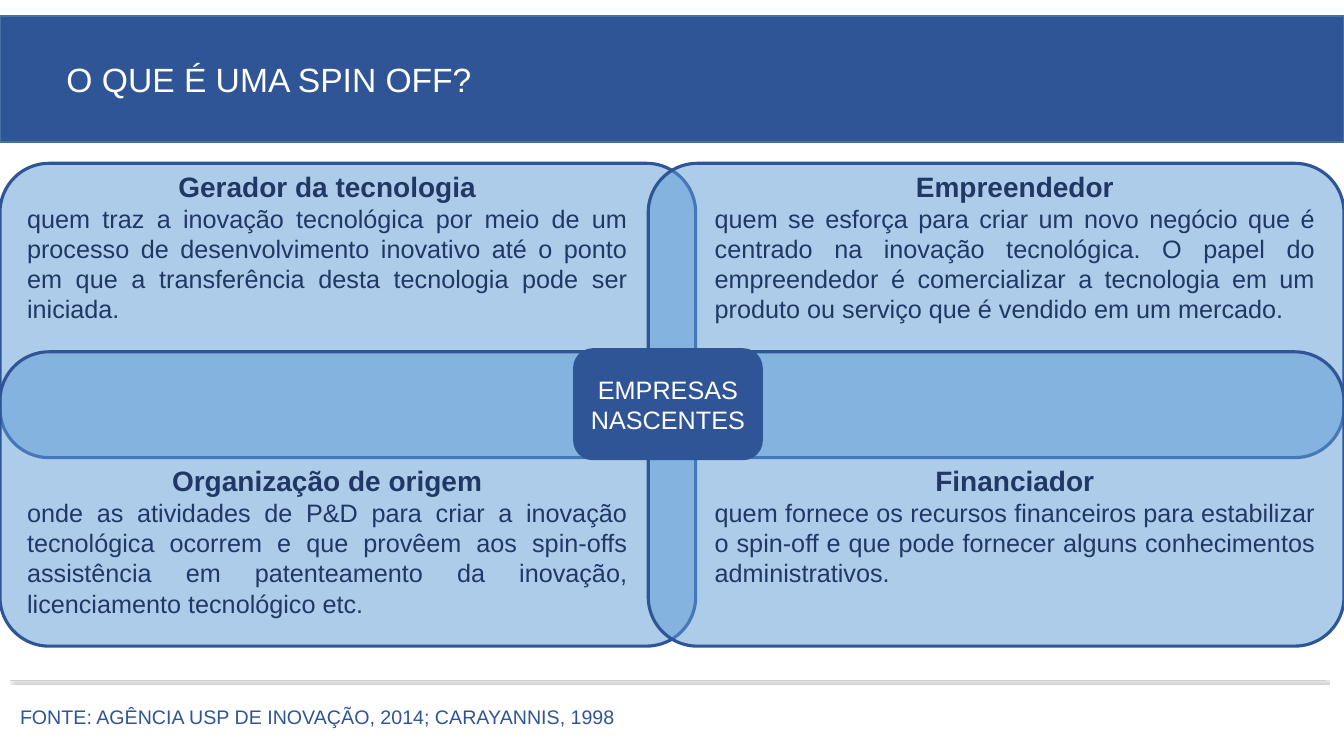
import pptx
import pptx.util
import pptx.dml.color
import pptx.enum.shapes
import pptx.enum.text
import pptx.oxml
import pptx.oxml.ns
from pptx.util import Inches

RGBColor = pptx.dml.color.RGBColor
NAVY = RGBColor(0x2F, 0x55, 0x97)
DARK = RGBColor(0x20, 0x38, 0x64)
SKY = RGBColor(0x5B, 0x9B, 0xD5)
EDGE = RGBColor(0x43, 0x73, 0x9E)
GRAY = RGBColor(0xD0, 0xCE, 0xCE)
WHITE = RGBColor(0xFF, 0xFF, 0xFF)

SHAPE = pptx.enum.shapes.MSO_SHAPE
ALIGN = pptx.enum.text.PP_ALIGN
ANCHOR = pptx.enum.text.MSO_ANCHOR

LEFT, RIGHT = 0, 6.43
TOP, BOTTOM = 1.62, 3.49
ROLES = [
    (LEFT, TOP, 0.17, 1.63, "Gerador da tecnologia",
     "quem traz a inovação tecnológica por meio de um processo de desenvolvimento "
     "inovativo até o ponto em que a transferência desta tecnologia pode ser iniciada."),
    (RIGHT, TOP, 6.99, 1.63, "Empreendedor",
     "quem se esforça para criar um novo negócio que é centrado na inovação "
     "tecnológica. O papel do empreendedor é comercializar a tecnologia em um produto "
     "ou serviço que é vendido em um mercado."),
    (LEFT, BOTTOM, 0.17, 4.55, "Organização de origem",
     "onde as atividades de P&D para criar a inovação tecnológica ocorrem e que "
     "provêem aos spin-offs assistência em patenteamento da inovação, licenciamento "
     "tecnológico etc."),
    (RIGHT, BOTTOM, 6.99, 4.55, "Financiador",
     "quem fornece os recursos financeiros para estabilizar o spin-off e que pode "
     "fornecer alguns conhecimentos administrativos."),
]


class SlideBuilder:
    """Holds the font and the current slide, and draws each kind of element."""

    def __init__(self, page, font="Arial"):
        self.page = page
        self.font = font

    def add_text(self, para, text, size, color, bold=False, align=ALIGN.LEFT):
        para.alignment = align
        span = para.add_run()
        span.text = text
        span.font.name = self.font
        span.font.size = pptx.util.Pt(size)
        span.font.bold = bold
        span.font.color.rgb = color

    def panel(self, parent, kind, area, fill, line, width, opacity=None):
        shape = parent.shapes.add_shape(kind, *map(Inches, area))
        shape.shadow.inherit = False
        shape.fill.solid()
        shape.fill.fore_color.rgb = fill
        shape.line.color.rgb = line
        shape.line.width = pptx.util.Pt(width)
        if opacity is not None:
            color = shape._element.spPr.find(
                "/".join(map(pptx.oxml.ns.qn, ("a:solidFill", "a:srgbClr"))))
            color.append(pptx.oxml.parse_xml(
                f'<a:alpha {pptx.oxml.ns.nsdecls("a")} val="{opacity * 1000}"/>'))
        frame = shape.text_frame
        frame.word_wrap = True
        frame.vertical_anchor = ANCHOR.MIDDLE
        return frame

    def text_box(self, parent, area, wrap=True):
        frame = parent.shapes.add_textbox(*map(Inches, area)).text_frame
        frame.word_wrap = wrap
        return frame

    def role(self, left, top, text_left, text_top, heading, body):
        group = self.page.shapes.add_group_shape()
        self.panel(group, SHAPE.ROUNDED_RECTANGLE, (left, top, 6.9, 2.92),
                   SKY, NAVY, 2.25, opacity=50)
        frame = self.text_box(group, (text_left, text_top, 6.15, 1.65))
        self.add_text(frame.paragraphs[0], heading, 20, DARK, True, ALIGN.CENTER)
        self.add_text(frame.add_paragraph(), body, 18, DARK, align=ALIGN.JUSTIFY)

    def shadowed_rule(self, left, right, y):
        rule = self.page.shapes.add_connector(
            pptx.enum.shapes.MSO_CONNECTOR.STRAIGHT,
            Inches(left), Inches(y), Inches(right), Inches(y))
        rule.line.color.rgb = GRAY
        rule.line.width = pptx.util.Pt(0.5)
        rule._element.spPr.append(pptx.oxml.parse_xml(
            f'<a:effectLst {pptx.oxml.ns.nsdecls("a")}>'
            '<a:outerShdw blurRad="12700" dist="25400" dir="2700000" algn="tl" '
            'rotWithShape="0"><a:srgbClr val="595959"><a:alpha val="40000"/>'
            '</a:srgbClr></a:outerShdw></a:effectLst>'))


def main():
    deck = pptx.Presentation()
    deck.slide_width = Inches(13.33)
    deck.slide_height = Inches(7.5)
    page = deck.slides.add_slide(deck.slide_layouts[6])
    builder = SlideBuilder(page)

    title = builder.panel(page, SHAPE.RECTANGLE, (0, 0.16, 13.33, 1.25), NAVY, EDGE, 1)
    title.margin_left = Inches(0.66)
    builder.add_text(title.paragraphs[0], "O QUE É UMA SPIN OFF?", 24, WHITE)

    builder.shadowed_rule(0.1, 13.15, 6.75)
    source = builder.text_box(page, (0.1, 6.94, 6.15, 0.34), wrap=False)
    builder.add_text(source.paragraphs[0],
                     "FONTE: AGÊNCIA USP DE INOVAÇÃO, 2014; CARAYANNIS, 1998", 14, NAVY)

    for role in ROLES:
        builder.role(*role)

    center = builder.panel(page, SHAPE.ROUNDED_RECTANGLE, (5.7, 3.47, 1.85, 1.08),
                           NAVY, NAVY, 2.25)
    center.margin_left = center.margin_right = Inches(0.05)
    builder.add_text(center.paragraphs[0], "EMPRESAS NASCENTES", 18, WHITE,
                     align=ALIGN.CENTER)

    deck.save("out.pptx")


if __name__ == "__main__":
    main()
